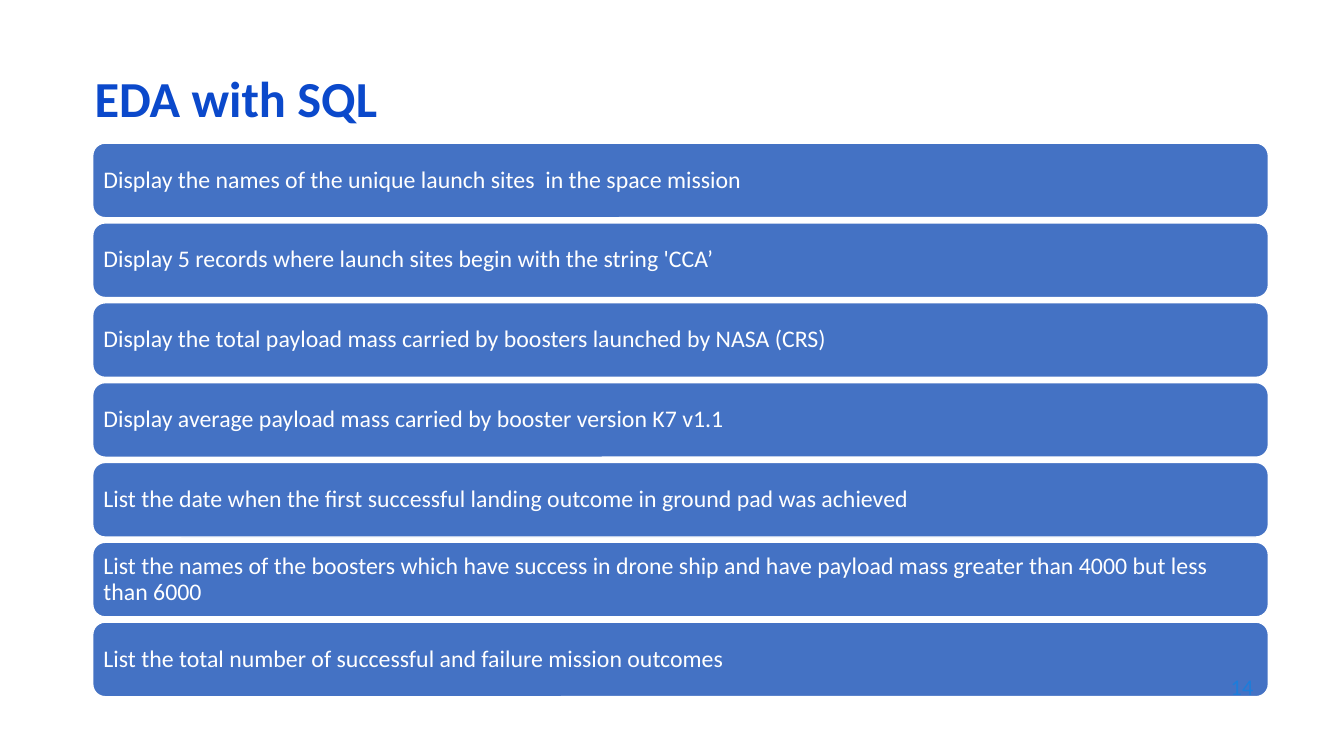
from dataclasses import dataclass

from pptx import Presentation
from pptx.dml.color import RGBColor as Rgb
from pptx.enum.shapes import MSO_SHAPE as Kind
from pptx.enum.text import MSO_ANCHOR as Anchor, PP_ALIGN as Align
from pptx.shapes.base import BaseShape as Shape
from pptx.slide import Slide
from pptx.util import Inches, Pt

HUES = {"bar": "4472C4", "white": "FFFFFF", "title": "0B49CB", "page": "1C7DDB"}
TASKS = [
    "Display the names of the unique launch sites  in the space mission",
    "Display 5 records where launch sites begin with the string 'CCA’",
    "Display the total payload mass carried by boosters launched by NASA (CRS)",
    "Display average payload mass carried by booster version K7 v1.1",
    "List the date when the first successful landing outcome in ground pad was achieved",
    "List the names of the boosters which have success in drone ship and have "
    "payload mass greater than 4000 but less than 6000",
    "List the total number of successful and failure mission outcomes",
]
TOP, STEP = 1.42, 0.792


@dataclass
class Label:
    text: str
    left: float
    top: float
    width: float
    height: float
    size: int
    hue: str
    bold: bool = False
    align: Align = Align.LEFT
    space: float = 0.9

    def box(self) -> list[int]:
        return [Inches(n) for n in (self.left, self.top, self.width, self.height)]


def write(shape: Shape, label: Label) -> None:
    frame = shape.text_frame
    frame.text = label.text
    frame.word_wrap = True
    frame.vertical_anchor = Anchor.MIDDLE
    para = frame.paragraphs[0]
    para.alignment = label.align
    para.line_spacing = label.space
    font = para.runs[0].font
    font.name = "Calibri"
    font.size = Pt(label.size)
    font.bold = label.bold
    font.color.rgb = Rgb.from_string(HUES[label.hue])


def add_bar(slide: Slide, label: Label) -> None:
    bar = slide.shapes.add_shape(Kind.ROUNDED_RECTANGLE, *label.box())
    bar.shadow.inherit = False
    bar.fill.solid()
    bar.fill.fore_color.rgb = Rgb.from_string(HUES["bar"])
    bar.line.color.rgb = Rgb.from_string(HUES["white"])
    bar.line.width = Pt(1)
    write(bar, label)
    frame = bar.text_frame
    frame.margin_left = frame.margin_right = Inches(0.07)
    frame.margin_top = frame.margin_bottom = Inches(0.07)


def add_text(slide: Slide, label: Label) -> None:
    write(slide.shapes.add_textbox(*label.box()), label)


def main() -> None:
    deck = Presentation()
    deck.slide_width, deck.slide_height = Inches(13.33), Inches(7.5)
    slide = deck.slides.add_slide(deck.slide_layouts[6])

    # Query tasks, one bar each
    for row, task in enumerate(TASKS):
        add_bar(slide, Label(task, 0.92, TOP + row * STEP, 11.66, 0.74, 17, "white"))

    # Page number and title
    add_text(slide, Label("14", 9.53, 6.59, 3, 0.44, 16, "page",
                          align=Align.RIGHT, space=1.0))
    add_text(slide, Label("EDA with SQL", 0.84, 0.7, 11.5, 0.6, 36, "title", bold=True))

    deck.save("out.pptx")


if __name__ == "__main__":
    main()
